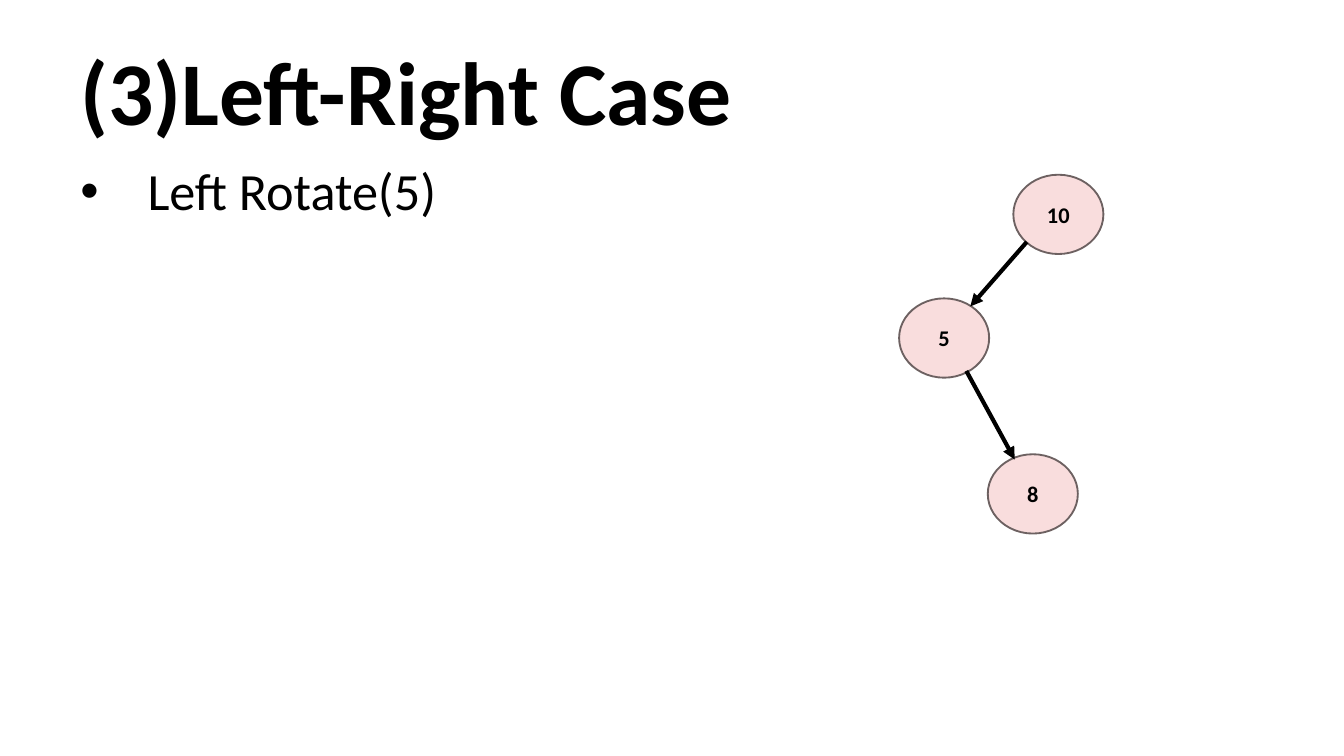
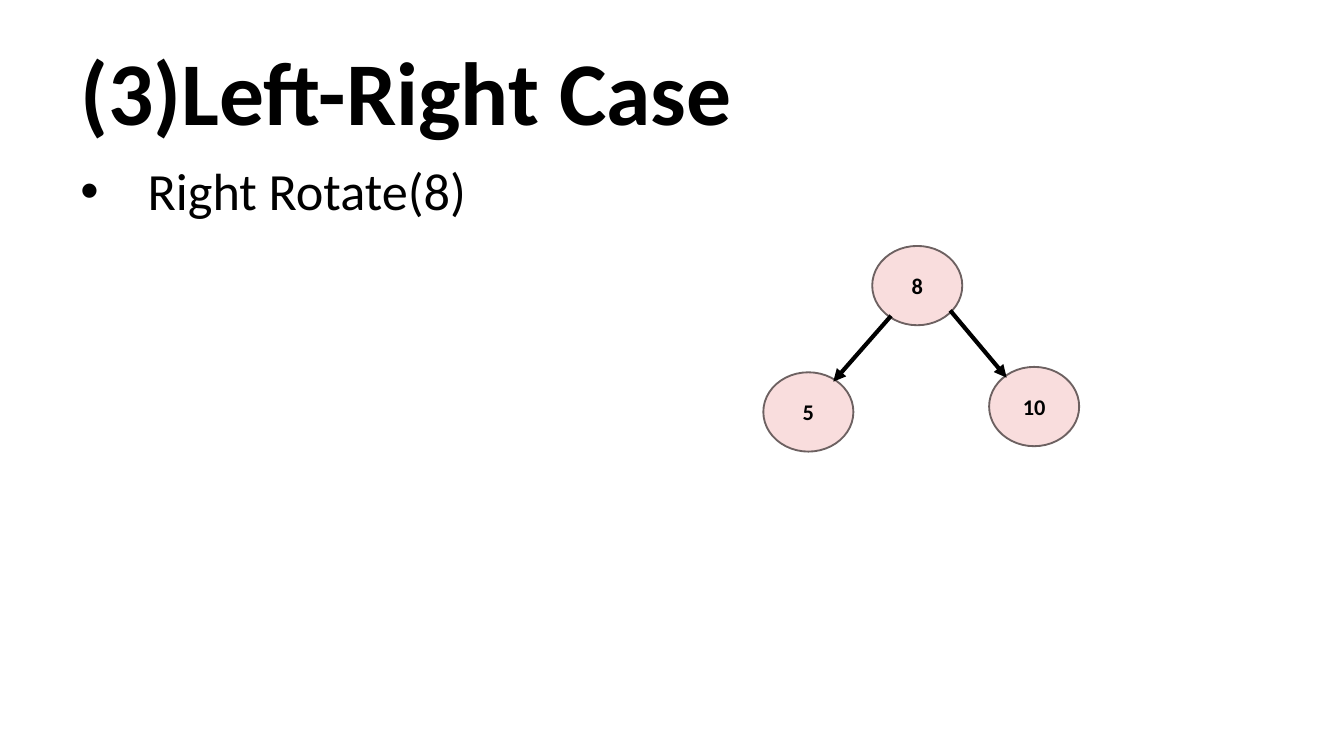
from dataclasses import dataclass
from lxml.etree import SubElement
from pptx import Presentation
from pptx.dml.color import RGBColor
from pptx.enum.shapes import MSO_CONNECTOR, MSO_SHAPE
from pptx.enum.text import MSO_ANCHOR, MSO_AUTO_SIZE, PP_ALIGN
from pptx.oxml.ns import qn
from pptx.util import Inches, Pt

TITLE = "(3)Left-Right Case"
SLIDES = [
    {
        "step": "Left Rotate(5)",
        "area": (4.5, 4.13),
        "nodes": [("10", 7.54, 1.3), ("5", 6.69, 2.22), ("8", 7.35, 3.38)],
        "edges": [(7.64, 1.8, 7.22, 2.28), (7.19, 2.76, 7.55, 3.42)],
    },
    {
        "step": "Right Rotate(8)",
        "area": (4.45, 1.24),
        "nodes": [("8", 6.49, 1.83), ("10", 7.36, 2.73), ("5", 5.68, 2.77)],
        "edges": [(7.07, 2.31, 7.49, 2.81), (6.63, 2.35, 6.2, 2.84)],
    },
]


@dataclass(frozen=True)
class Theme:
    font: str = "Calibri"
    ink: RGBColor = RGBColor(0, 0, 0)
    fill: RGBColor = RGBColor(0xF9, 0xDD, 0xDD)
    rim: RGBColor = RGBColor(0x6D, 0x61, 0x61)
    title: int = 48
    body: int = 28
    node: int = 12


THEME = Theme()
WIDTH = 10
HEIGHT = WIDTH * 9 / 16
LEFT, TOP, BODY = 0.5, 0.31, 1.18
NODE = (0.67, 0.59)


def box(*sizes):
    return [Inches(size) for size in sizes]


def write(shape, text, size, bold, align, anchor):
    frame = shape.text_frame
    frame.word_wrap = True
    frame.auto_size = MSO_AUTO_SIZE.NONE
    frame.vertical_anchor = anchor
    para = frame.paragraphs[0]
    para.text = text
    para.alignment = align
    font = para.font
    font.name = THEME.font
    font.size = Pt(size)
    font.bold = bold
    font.color.rgb = THEME.ink
    return para


def add_title(slide):
    title = slide.shapes.title
    title.left, title.top, title.width, title.height = box(
        LEFT, TOP, WIDTH - 2 * LEFT, BODY - TOP
    )
    para = write(title, TITLE, THEME.title, True, PP_ALIGN.LEFT, MSO_ANCHOR.TOP)
    para.line_spacing = 0.9


def add_step(slide, text, area):
    shape = slide.shapes.add_textbox(*box(LEFT, BODY, *area))
    para = write(shape, text, THEME.body, False, PP_ALIGN.LEFT, MSO_ANCHOR.TOP)
    para.line_spacing = 0.9
    props = para._p.get_or_add_pPr()
    props.set("marL", str(Inches(0.5)))
    props.set("indent", str(-Inches(0.5)))
    face = props.makeelement(qn("a:buFont"), {"typeface": "Arial"})
    bullet = props.makeelement(qn("a:buChar"), {"char": "•"})
    spot = props.find(qn("a:defRPr"))
    spot.addprevious(face)
    spot.addprevious(bullet)


def add_node(slide, text, left, top):
    node = slide.shapes.add_shape(MSO_SHAPE.OVAL, *box(left, top, *NODE))
    node.shadow.inherit = False
    node.fill.solid()
    node.fill.fore_color.rgb = THEME.fill
    node.line.color.rgb = THEME.rim
    node.line.width = Pt(1)
    write(node, text, THEME.node, True, PP_ALIGN.CENTER, MSO_ANCHOR.MIDDLE)


def add_edge(slide, ends):
    edge = slide.shapes.add_connector(MSO_CONNECTOR.STRAIGHT, *box(*ends))
    edge.line.color.rgb = THEME.ink
    edge.line.width = Pt(2.25)
    SubElement(edge.line._get_or_add_ln(), qn("a:tailEnd"), type="triangle")
    SubElement(edge._element.spPr, qn("a:effectLst"))


def main():
    deck = Presentation()
    deck.slide_width, deck.slide_height = box(WIDTH, HEIGHT)
    for data in SLIDES:
        slide = deck.slides.add_slide(deck.slide_layouts[5])
        add_title(slide)
        add_step(slide, data["step"], data["area"])
        for node in data["nodes"]:
            add_node(slide, *node)
        for ends in data["edges"]:
            add_edge(slide, ends)
    deck.save("out.pptx")


if __name__ == "__main__":
    main()
